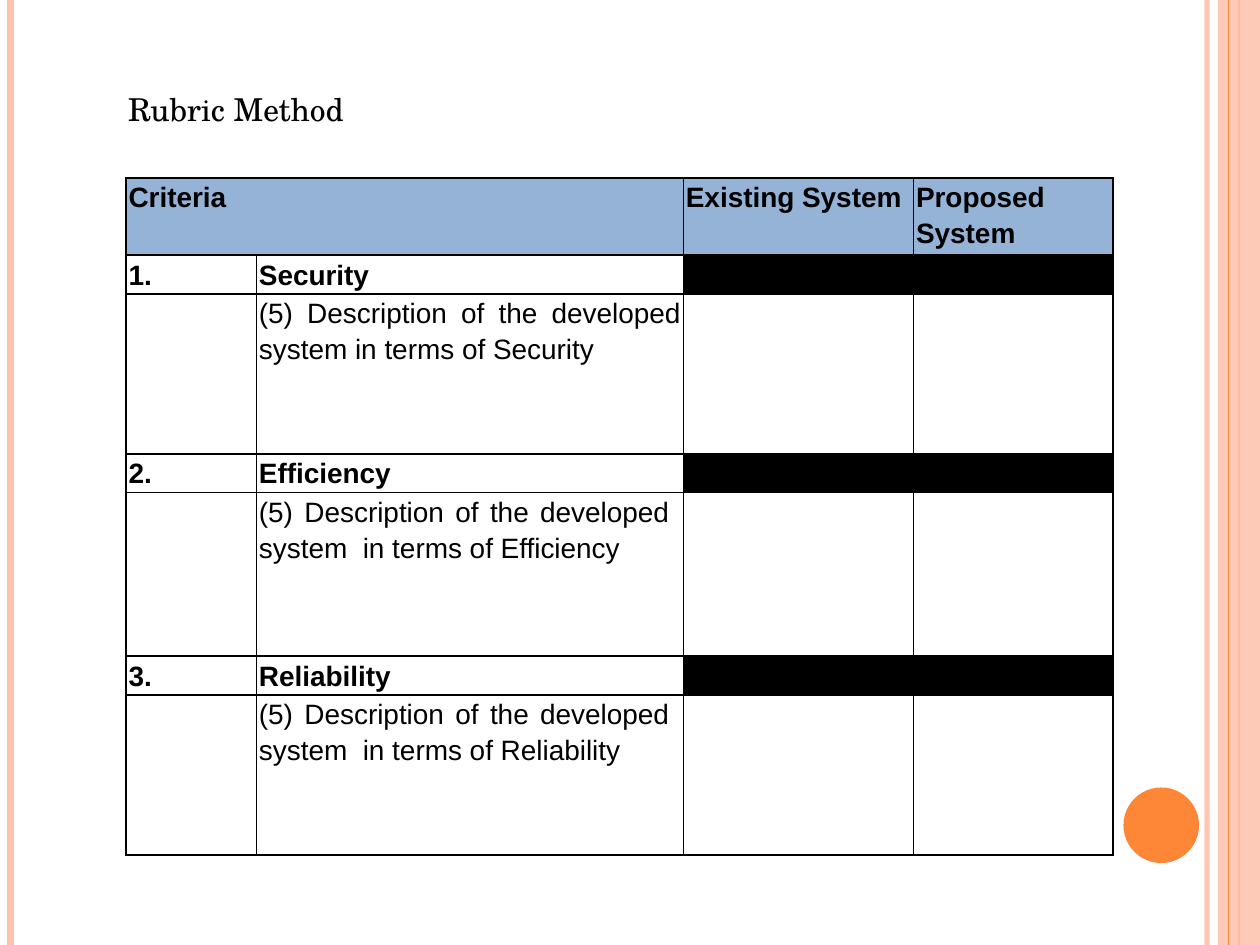
"""Build the Rubric Method slide."""
from dataclasses import dataclass

from lxml.etree import SubElement
from pptx import Presentation
from pptx.dml.color import RGBColor
from pptx.enum.shapes import MSO_CONNECTOR as Connector, MSO_SHAPE as Preset
from pptx.enum.text import MSO_ANCHOR as Anchor, MSO_AUTO_SIZE as AutoSize, PP_ALIGN as Align
from pptx.oxml.ns import qn
from pptx.util import Pt


@dataclass(frozen=True)
class Theme:
    """Colours, fonts and type sizes."""
    ink: str = "000000"
    header: str = "95B3D7"
    peach: str = "FEC3AE"
    orange: str = "FE8637"
    title_font: str = "TeX Gyre Schola"
    body_font: str = "Arial"
    title_size: float = 18
    body_size: float = 16


@dataclass(frozen=True)
class Stripe:
    """A full-height vertical line."""
    x: float
    width: float
    color: str
    opacity: int = 100


@dataclass(frozen=True)
class Block:
    """A filled preset shape."""
    preset: Preset
    x: float
    y: float
    width: float
    height: float
    color: str
    opacity: int = 100


@dataclass(frozen=True)
class Criterion:
    """A rubric criterion and its description."""
    name: str
    description: str
    height: float


THEME = Theme()
SLIDE_WIDTH, SLIDE_HEIGHT = 720, 540
STRIPES_BEHIND = [
    Stripe(689.75, 3, THEME.peach, 93),
    Stripe(6, 4.5, THEME.peach),
    Stripe(708, 1.5, THEME.orange),
]
BAND = Block(Preset.RECTANGLE, 696, 0, 24, SLIDE_HEIGHT, THEME.peach, 87)
BAND_STRIPE = Stripe(702, 0.75, THEME.orange)
DISC = Block(Preset.OVAL, 642, 450, 43.2, 43.2, THEME.orange)

COLUMNS = [74.5, 20, 224, 131.5, 114]
LINE_ROW, HEADER_ROW = 20.7, 40.5
CRITERIA = [
    Criterion("Security", "(5) Description of the developed system in terms of Security", 91.4),
    Criterion("Efficiency", "(5) Description of the developed  system  in terms of Efficiency", 93.6),
    Criterion("Reliability", "(5) Description of the developed  system  in terms of Reliability", 91.4),
]


def set_opacity(fill_parent, opacity: int) -> None:
    """Make the solid fill under an element partly transparent."""
    if opacity < 100:
        color = next(fill_parent.iter(qn("a:srgbClr")))
        SubElement(color, qn("a:alpha"), val=str(opacity * 1000))


def draw_stripe(slide, stripe: Stripe) -> None:
    """Draw a vertical line from top to bottom."""
    line = slide.shapes.add_connector(
        Connector.STRAIGHT, Pt(stripe.x), 0, Pt(stripe.x), Pt(SLIDE_HEIGHT))
    line.line.color.rgb = RGBColor.from_string(stripe.color)
    line.line.width = Pt(stripe.width)
    properties = line._element.spPr
    set_opacity(properties, stripe.opacity)
    SubElement(properties, qn("a:effectLst"))


def draw_block(slide, block: Block) -> None:
    """Draw a filled shape without outline."""
    shape = slide.shapes.add_shape(
        block.preset, Pt(block.x), Pt(block.y), Pt(block.width), Pt(block.height))
    shape.shadow.inherit = False
    shape.fill.solid()
    shape.fill.fore_color.rgb = RGBColor.from_string(block.color)
    set_opacity(shape._element.spPr, block.opacity)
    shape.line.fill.background()


def format_title(slide) -> None:
    """Place and style the slide title."""
    title = slide.shapes.title
    title.left, title.top, title.width, title.height = Pt(66), Pt(48), Pt(140), Pt(29)
    frame = title.text_frame
    frame.text = "Rubric Method"
    frame.word_wrap = False
    frame.auto_size = AutoSize.SHAPE_TO_FIT_TEXT
    frame.vertical_anchor = Anchor.TOP
    paragraph = frame.paragraphs[0]
    paragraph.alignment = Align.LEFT
    paragraph.font.name = THEME.title_font
    paragraph.font.size = Pt(THEME.title_size)
    paragraph.font.color.rgb = RGBColor.from_string(THEME.ink)


def format_cell(cell, sides: str) -> None:
    """Set insets, draw borders on the given sides and clear the fill."""
    cell.margin_left = cell.margin_right = Pt(1.5)
    cell.margin_top = cell.margin_bottom = 0
    properties = cell._tc.get_or_add_tcPr()
    for side in "LRTB":
        border = SubElement(properties, qn(f"a:ln{side}"), w=str(Pt(1)))
        if side in sides:
            fill = SubElement(border, qn("a:solidFill"))
            SubElement(fill, qn("a:srgbClr"), val=THEME.ink)
        else:
            SubElement(border, qn("a:noFill"))
    cell.fill.background()
    cell.text_frame.paragraphs[0].font.size = Pt(THEME.body_size)


def fill_cell(cell, color: str) -> None:
    """Give a cell a solid colour."""
    cell.fill.solid()
    cell.fill.fore_color.rgb = RGBColor.from_string(color)


def write_cell(cell, text: str, bold: bool = True) -> None:
    """Write justified text into a cell."""
    cell.text = text
    paragraph = cell.text_frame.paragraphs[0]
    paragraph.alignment = Align.JUSTIFY
    paragraph.line_spacing = 1.15
    paragraph.space_after = Pt(10)
    paragraph.font.name = THEME.body_font
    paragraph.font.size = Pt(THEME.body_size)
    paragraph.font.bold = bold
    paragraph.font.color.rgb = RGBColor.from_string(THEME.ink)


def draw_rubric(slide) -> None:
    """Draw the rubric table."""
    heights = [LINE_ROW, HEADER_ROW]
    for criterion in CRITERIA:
        heights += [LINE_ROW, criterion.height]
    rubric = slide.shapes.add_table(
        len(heights), len(COLUMNS), Pt(72), Pt(81), Pt(sum(COLUMNS)), Pt(sum(heights))).table
    rubric.first_row = rubric.horz_banding = False
    for column, width in zip(rubric.columns, COLUMNS):
        column.width = Pt(width)
    for index, (row, height) in enumerate(zip(rubric.rows, heights)):
        row.height = Pt(height)
        for cell in row.cells:
            format_cell(cell, "LRTB" if index else "B")

    rubric.cell(0, 0).merge(rubric.cell(0, 1))
    rubric.cell(0, 2).merge(rubric.cell(0, 4))
    rubric.cell(1, 0).merge(rubric.cell(1, 2))
    for column, heading in {0: "Criteria", 3: "Existing System", 4: "Proposed System"}.items():
        write_cell(rubric.cell(1, column), heading)
        fill_cell(rubric.cell(1, column), THEME.header)

    for number, criterion in enumerate(CRITERIA, 1):
        name_row, description_row = 2 * number, 2 * number + 1
        for row in (name_row, description_row):
            rubric.cell(row, 1).merge(rubric.cell(row, 2))
        write_cell(rubric.cell(name_row, 0), f"{number}.")
        write_cell(rubric.cell(name_row, 1), criterion.name)
        write_cell(rubric.cell(description_row, 1), criterion.description, bold=False)
        for column in (3, 4):
            fill_cell(rubric.cell(name_row, column), THEME.ink)


def main() -> None:
    """Build and save the presentation."""
    presentation = Presentation()
    presentation.slide_width, presentation.slide_height = Pt(SLIDE_WIDTH), Pt(SLIDE_HEIGHT)
    slide = presentation.slides.add_slide(presentation.slide_layouts[5])
    for stripe in STRIPES_BEHIND:
        draw_stripe(slide, stripe)
    draw_block(slide, BAND)
    draw_stripe(slide, BAND_STRIPE)
    draw_block(slide, DISC)
    draw_rubric(slide)
    format_title(slide)
    presentation.save("out.pptx")


if __name__ == "__main__":
    main()
